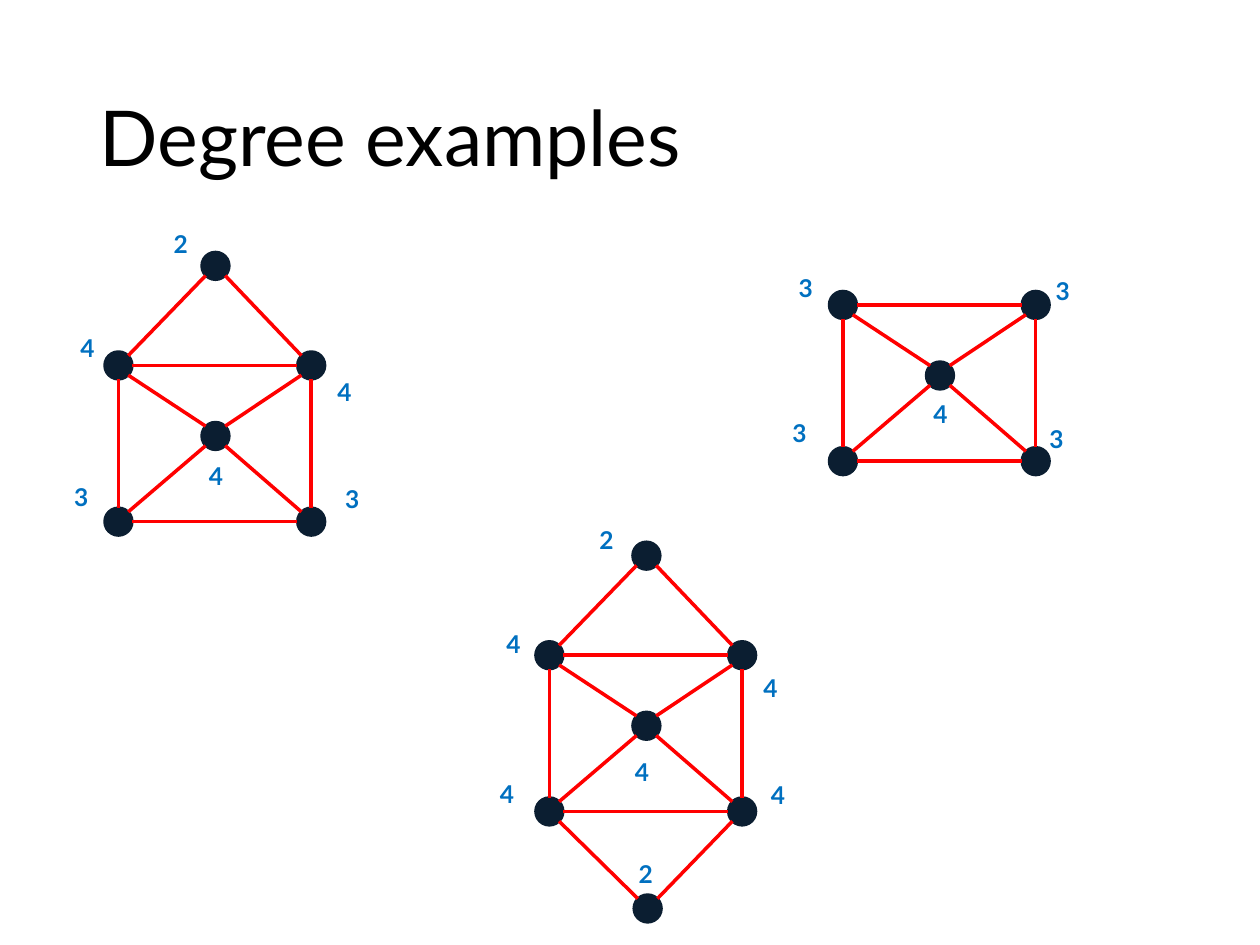
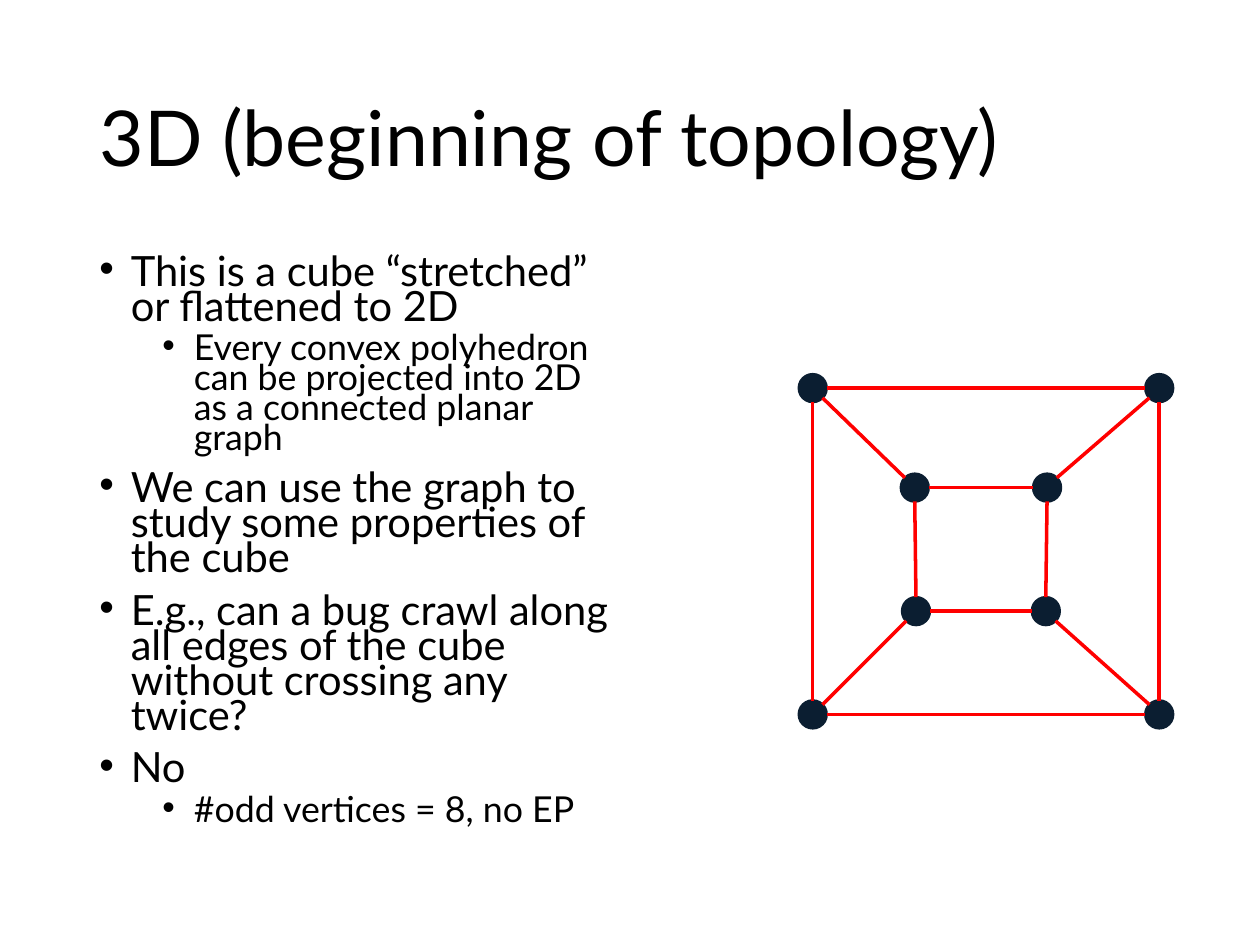
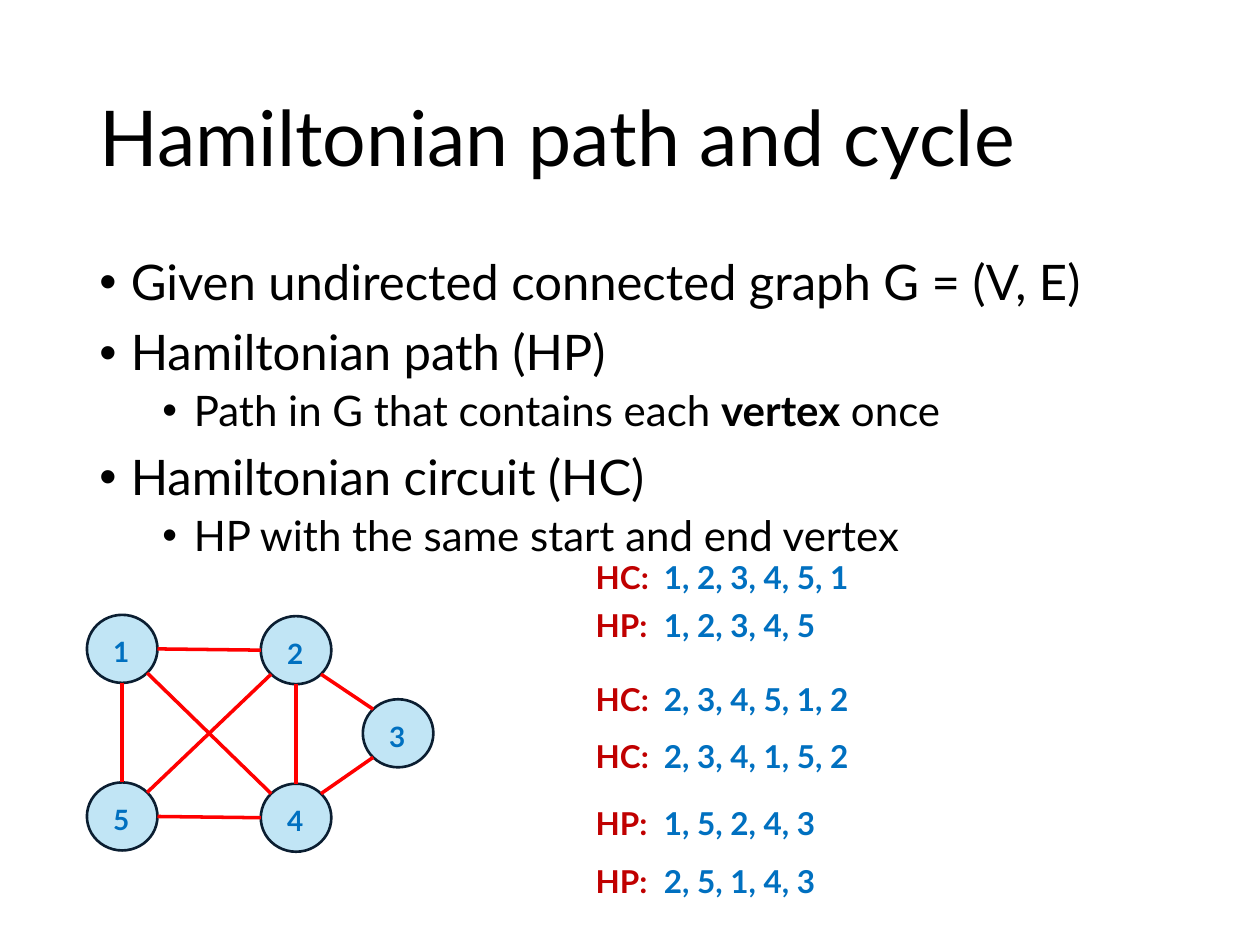
import math
from collections import Counter

from lxml import etree
from pptx import Presentation
from pptx import util as u
from pptx.dml.color import RGBColor
from pptx.enum import shapes, text
from pptx.oxml import ns

PX = 9144  # 100 px to the inch
FONT = "Lato"
BLACK, NAVY, SKY = "000000", "0B1E31", "C1E5F5"
RED, BLUE, DARK_RED = "FF0000", "0070C0", "C00000"

HOUSE = {
    "apex": (88, 11),
    "upper left": (11, 90),
    "upper right": (164, 90),
    "middle": (88, 146),
    "lower left": (11, 214),
    "lower right": (164, 214),
    "bottom": (89, 291),
}
SQUARE_EDGES = [
    ("upper left", "upper right"),
    ("lower left", "lower right"),
    ("upper left", "lower left"),
    ("upper right", "lower right"),
    ("middle", "upper left"),
    ("middle", "upper right"),
    ("middle", "lower left"),
    ("middle", "lower right"),
]
ROOF_EDGES = [("apex", "upper left"), ("apex", "upper right")]
BASE_EDGES = [("bottom", "lower left"), ("bottom", "lower right")]

HOUSE_LABELS = {
    "apex": (45, -23),
    "upper left": (-29, 59),
    "upper right": (175, 94),
    "middle": (73, 161),
    "lower left": (-34, 178),
    "lower right": (181, 179),
}
DIAMOND_LABELS = {name: (x - 4, y + 5) for name, (x, y) in HOUSE_LABELS.items()}
DIAMOND_LABELS["bottom"] = (72, 247)
SQUARE_LABELS = {
    "upper left": (-34, 60),
    "upper right": (170, 62),
    "middle": (73, 160),
    "lower left": (-39, 175),
    "lower right": (165, 180),
}


def px(*lengths):
    return [u.Emu(round(length * PX)) for length in lengths]


def rgb(color):
    return RGBColor.from_string(color)


def set_font(font, size, color, bold=False):
    font.name = FONT
    font.size = u.Pt(size)
    font.bold = bold
    font.color.rgb = rgb(color)


def add_text_box(slide, left, top, width, height):
    frame = slide.shapes.add_textbox(*px(left, top, width, height)).text_frame
    frame.word_wrap = True
    return frame


def add_label(slide, left, top, width, height, label, size):
    paragraph = add_text_box(slide, left, top, width, height).paragraphs[0]
    paragraph.text = label
    set_font(paragraph.font, size, BLUE, True)


def add_title(slide, title):
    frame = add_text_box(slide, 69, 40, 862, 145)
    frame.vertical_anchor = text.MSO_ANCHOR.MIDDLE
    paragraph = frame.paragraphs[0]
    paragraph.text = title
    paragraph.line_spacing = 0.9
    set_font(paragraph.font, 44, BLACK)


def add_bullets(slide, width, items, sizes, line_spacing):
    """Write (level, text) items; words between asterisks are bold."""
    frame = add_text_box(slide, 69, 200, width, 476)
    for index, (level, item) in enumerate(items):
        paragraph = frame.add_paragraph() if index else frame.paragraphs[0]
        paragraph.level = level
        paragraph.line_spacing = line_spacing
        if index:
            paragraph.space_before = u.Pt((10, 5)[level])
        properties = paragraph._p.get_or_add_pPr()
        properties.set("marL", str(px((25, 75)[level])[0]))
        properties.set("indent", str(px(-25)[0]))
        etree.SubElement(properties, ns.qn("a:buFont"), typeface="Arial")
        etree.SubElement(properties, ns.qn("a:buChar"), char="•")
        set_font(paragraph.font, sizes[level], BLACK)
        for part, words in enumerate(item.split("*")):
            run = paragraph.add_run()
            run.text = words
            if part % 2:
                run.font.bold = True


def add_edge(slide, start, end, radii):
    """Join two vertices at the eighths of their outlines that face each other."""
    angle = math.atan2(end[1] - start[1], end[0] - start[0])
    angle = round(angle / (math.pi / 4)) * math.pi / 4
    dx, dy = radii[0] * math.cos(angle), radii[1] * math.sin(angle)
    line = slide.shapes.add_connector(
        shapes.MSO_CONNECTOR.STRAIGHT,
        *px(start[0] + dx, start[1] + dy, end[0] - dx, end[1] - dy))
    line.line.color.rgb = rgb(RED)
    line.line.width = u.Pt(2)
    etree.SubElement(line._element.spPr, ns.qn("a:effectLst"))


def add_graph(slide, left, top, vertices, edges, size=(22, 22), fill=NAVY):
    """Draw the vertices that the edges use, with centres relative to left, top."""
    used = {name for edge in edges for name in edge}
    centres = {name: (left + x, top + y)
               for name, (x, y) in vertices.items() if name in used}
    width, height = size
    radii = (width / 2, height / 2)
    for x, y in centres.values():
        vertex = slide.shapes.add_shape(
            shapes.MSO_SHAPE.OVAL, *px(x - radii[0], y - radii[1], width, height))
        vertex.shadow.inherit = False
        vertex.fill.solid()
        vertex.fill.fore_color.rgb = rgb(fill)
        vertex.line.color.rgb = rgb(NAVY)
        vertex.line.width = u.Pt(1.5)
    for start, end in edges:
        add_edge(slide, centres[start], centres[end], radii)


def add_degree_graph(slide, left, top, edges, labels):
    add_graph(slide, left, top, HOUSE, edges)
    degrees = Counter(name for edge in edges for name in edge)
    for name, (x, y) in labels.items():
        add_label(slide, left + x, top + y, 33, 34, str(degrees[name]), 14)


def add_cube_graph(slide, left, top):
    corners = [(11, 11), (286, 11), (286, 270), (11, 270)]
    inner = [(92, 90), (197, 90), (196, 188), (93, 188)]
    vertices = dict(enumerate(corners + inner))
    edges = []
    for i in range(4):
        following = (i + 1) % 4
        edges += [(i, following), (i + 4, following + 4), (i, i + 4)]
    add_graph(slide, left, top, vertices, edges)


def add_numbered_graph(slide, left, top):
    vertices = {1: (28, 28), 2: (166, 29), 3: (247, 95), 4: (166, 162), 5: (28, 161)}
    edges = [(1, 2), (1, 4), (1, 5), (2, 3), (2, 4), (2, 5), (3, 4), (4, 5)]
    add_graph(slide, left, top, vertices, edges, (56, 54), SKY)
    for number, (x, y) in vertices.items():
        add_label(slide, left + x - 17, top + y - 16, 32, 37, str(number), 16)


def add_walk(slide, left, top, kind, walk):
    paragraph = add_text_box(slide, left, top, 287, 40).paragraphs[0]
    tabs = etree.SubElement(paragraph._p.get_or_add_pPr(), ns.qn("a:tabLst"))
    etree.SubElement(tabs, ns.qn("a:tab"), pos=str(px(54)[0]), algn="l")
    for words, color in ((kind + ":\t", DARK_RED), (walk, BLUE)):
        run = paragraph.add_run()
        run.text = words
        set_font(run.font, 18, color, True)


def add_slide(presentation, title):
    slide = presentation.slides.add_slide(presentation.slide_layouts[6])
    add_title(slide, title)
    return slide


def build_degree_slide(presentation):
    slide = add_slide(presentation, "Degree examples")
    add_degree_graph(slide, 83, 200, SQUARE_EDGES + ROOF_EDGES, HOUSE_LABELS)
    add_degree_graph(slide, 425, 430, SQUARE_EDGES + ROOF_EDGES + BASE_EDGES,
                     DIAMOND_LABELS)
    add_degree_graph(slide, 658, 152, SQUARE_EDGES, SQUARE_LABELS)


def build_cube_slide(presentation):
    slide = add_slide(presentation, "3D (beginning of topology)")
    add_bullets(slide, 431, [
        (0, "This is a cube “stretched” or flattened to 2D"),
        (1, "Every convex polyhedron can be projected into 2D as a connected "
            "planar graph"),
        (0, "We can use the graph to study some properties of the cube"),
        (0, "E.g., can a bug crawl along all edges of the cube without crossing "
            "any twice?"),
        (0, "No"),
        (1, "#odd vertices = 8, no EP"),
    ], (23.8, 20.4), 0.7)
    add_cube_graph(slide, 634, 297)


def build_hamiltonian_slide(presentation):
    slide = add_slide(presentation, "Hamiltonian path and cycle")
    add_bullets(slide, 862, [
        (0, "Given undirected connected graph G = (V, E)"),
        (0, "Hamiltonian path (HP)"),
        (1, "Path in G that contains each *vertex* once"),
        (0, "Hamiltonian circuit (HC)"),
        (1, "HP with the same start and end vertex"),
    ], (28, 24), 0.9)
    add_numbered_graph(slide, 69, 487)
    for top, kind, walk in (
        (438, "HC", "1, 2, 3, 4, 5, 1"),
        (476, "HP", "1, 2, 3, 4, 5"),
        (535, "HC", "2, 3, 4, 5, 1, 2"),
        (580, "HC", "2, 3, 4, 1, 5, 2"),
        (633, "HP", "1, 5, 2, 4, 3"),
        (679, "HP", "2, 5, 1, 4, 3"),
    ):
        add_walk(slide, 463, top, kind, walk)


def main():
    presentation = Presentation()
    presentation.slide_width, presentation.slide_height = px(1000, 750)
    build_degree_slide(presentation)
    build_cube_slide(presentation)
    build_hamiltonian_slide(presentation)
    presentation.save("out.pptx")


if __name__ == "__main__":
    main()
